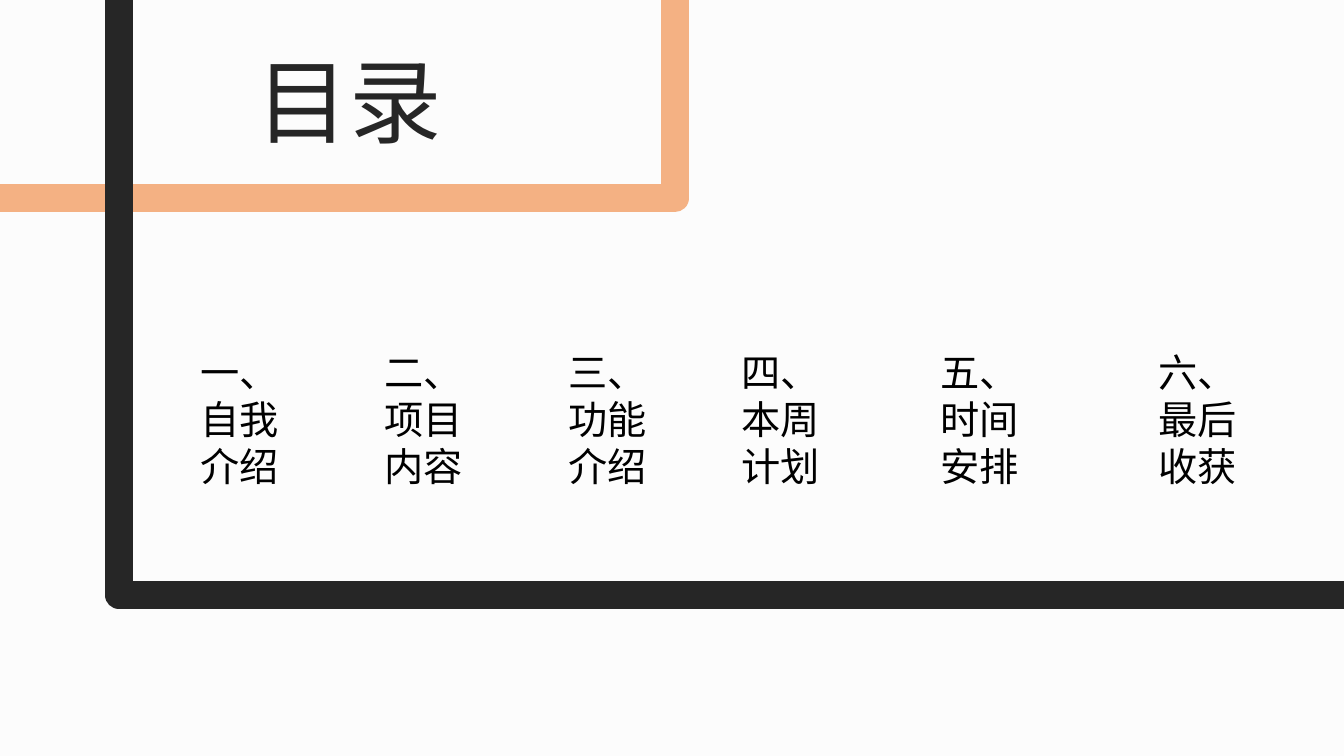
"""Build the contents slide with two rounded frame lines and six sections."""
import dataclasses

import pptx
import pptx.dml.color
import pptx.enum.text
import pptx.oxml
import pptx.slide
import pptx.text.text
import pptx.util

Cm = pptx.util.Cm
Pt = pptx.util.Pt
Point = tuple[float, float]
CJK_FONT = "Noto Sans CJK SC"
CURVE_STEPS = 16


@dataclasses.dataclass(frozen=True)
class Frame:
    """A line that runs to a rounded corner and on, in centimetres."""

    start: Point
    curve: tuple[Point, Point, Point, Point]
    end: Point
    color: str


@dataclasses.dataclass(frozen=True)
class Section:
    """A numbered section of the contents."""

    left: float
    lines: tuple[str, str, str]


FRAMES = [
    Frame((0, 5.18), ((16.08, 5.18), (16.33, 5.18), (16.51, 5.05), (16.51, 4.9)),
          (16.54, 0), "F4B183"),
    Frame((33.87, 15.16), ((3.68, 15.16), (3.23, 15.16), (2.84, 14.81), (2.84, 14.35)),
          (2.79, 0), "262626"),
]
SECTIONS = [
    Section(4.8, ("一、", "自我", "介绍")),
    Section(9.42, ("二、", "项目", "内容")),
    Section(14.07, ("三、", "功能", "介绍")),
    Section(18.42, ("四、", "本周", "计划")),
    Section(23.44, ("五、", "时间", "安排")),
    Section(28.93, ("六、", "最后", "收获")),
]


def rgb(color: str) -> pptx.dml.color.RGBColor:
    """Turn a hex string into a colour."""
    return pptx.dml.color.RGBColor.from_string(color)


def bezier(curve: tuple[Point, Point, Point, Point], t: float) -> Point:
    """Return the point at t on a cubic curve."""
    u = 1 - t
    weights = (u ** 3, 3 * u * u * t, 3 * u * t * t, t ** 3)
    x, y = (sum(w * c for w, c in zip(weights, axis)) for axis in zip(*curve))
    return x, y


def draw_frame(s: pptx.slide.Slide, frame: Frame) -> None:
    """Draw a frame as an open outline."""
    corner = [bezier(frame.curve, i / CURVE_STEPS) for i in range(CURVE_STEPS + 1)]
    builder = s.shapes.build_freeform(*frame.start, scale=Cm(1))
    builder.add_line_segments([*corner, frame.end], close=False)
    sp = builder.convert_to_shape()
    sp.shadow.inherit = False
    sp.fill.background()
    sp.line.color.rgb = rgb(frame.color)
    sp.line.width = Pt(20)


def format_paragraph(p: pptx.text.text._Paragraph, size: float, font: str, color: str,
                     align: pptx.enum.text.PP_ALIGN) -> None:
    """Set the font and alignment of a paragraph."""
    p.alignment = align
    p.font.size = Pt(size)
    p.font.name = font
    p.font.color.rgb = rgb(color)


def draw_title(s: pptx.slide.Slide, text: str) -> None:
    """Place and format the slide title."""
    sp = s.shapes.title
    sp.left, sp.top, sp.width, sp.height = Cm(6.22), Cm(0.99), Cm(5.94), Cm(3.07)
    tf = sp.text_frame
    tf.text = text
    tf.word_wrap = True
    tf.auto_size = pptx.enum.text.MSO_AUTO_SIZE.NONE
    tf.vertical_anchor = pptx.enum.text.MSO_ANCHOR.TOP
    p = tf.paragraphs[0]
    format_paragraph(p, 66, CJK_FONT, "262626", pptx.enum.text.PP_ALIGN.JUSTIFY)
    for r in p.runs:
        ea = pptx.oxml.parse_xml(
            '<a:ea xmlns:a="http://schemas.openxmlformats.org/drawingml/2006/main"'
            f' typeface="{CJK_FONT}"/>')
        r.font._element.append(ea)


def draw_section(s: pptx.slide.Slide, section: Section) -> None:
    """Draw a section as three centred lines."""
    sp = s.shapes.add_textbox(Cm(section.left), Cm(8.64), Cm(2.49), Cm(3.84))
    tf = sp.text_frame
    tf.word_wrap = False
    tf.text = "\n".join(section.lines)
    for p in tf.paragraphs:
        format_paragraph(p, 28, "Arial", "000000", pptx.enum.text.PP_ALIGN.CENTER)


def main() -> None:
    """Build and save the presentation."""
    prs = pptx.Presentation()
    prs.slide_width, prs.slide_height = Cm(33.87), Cm(19.05)
    s = prs.slides.add_slide(prs.slide_layouts.get_by_name("Title Only"))
    s.background.fill.solid()
    s.background.fill.fore_color.rgb = rgb("FCFCFC")
    draw_title(s, "目录")
    for frame in FRAMES:
        draw_frame(s, frame)
    for section in SECTIONS:
        draw_section(s, section)
    prs.save("out.pptx")


main()
